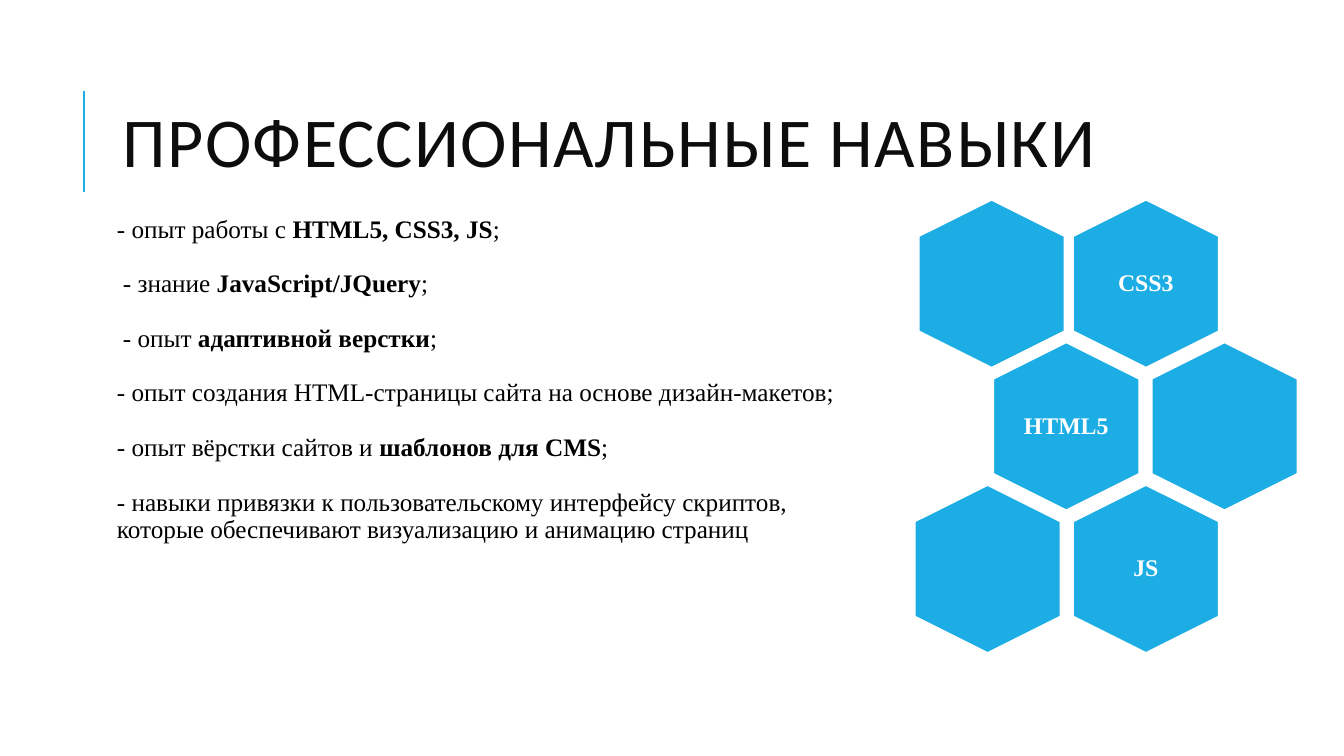
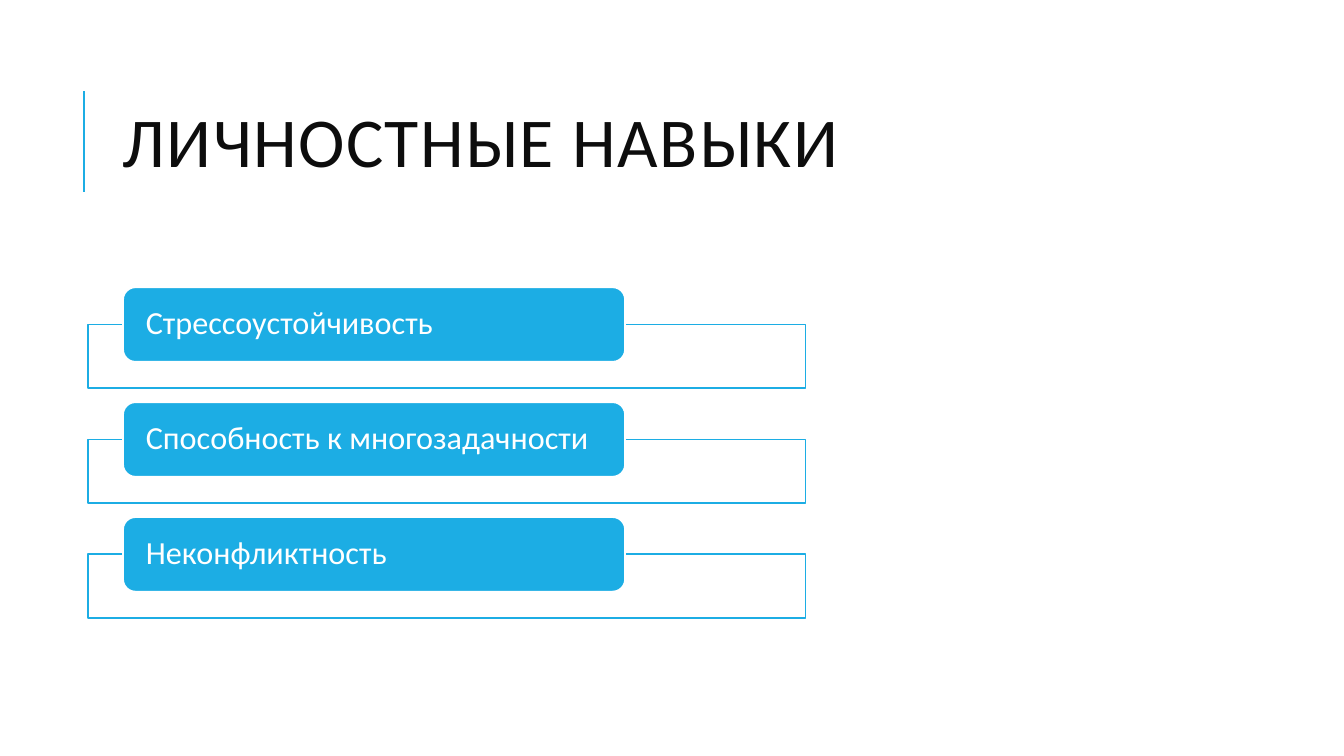
from pptx import Presentation
from pptx.dml.color import RGBColor
from pptx.enum.shapes import MSO_CONNECTOR, MSO_SHAPE
from pptx.enum.text import MSO_ANCHOR, PP_ALIGN
from pptx.oxml.ns import qn
from pptx.util import Inches, Pt

STRAIGHT = MSO_CONNECTOR.STRAIGHT
HEXAGON, RECTANGLE, ROUNDED = MSO_SHAPE.HEXAGON, MSO_SHAPE.RECTANGLE, MSO_SHAPE.ROUNDED_RECTANGLE
TOP, MIDDLE = MSO_ANCHOR.TOP, MSO_ANCHOR.MIDDLE
LEFT, CENTER = PP_ALIGN.LEFT, PP_ALIGN.CENTER

BLUE, WHITE, BLACK, TITLE_INK = "1CADE4", "FFFFFF", "000000", "0D0D0D"
SANS, SERIF = "Calibri", "Times New Roman"

SKILLS_TITLE = "ПРОФЕССИОНАЛЬНЫЕ НАВЫКИ"
# Left indent in inches, then (text, bold) runs
SKILLS = [
    (0.1, [("- опыт работы с ", False), ("HTML5, CSS3, JS", True), (";", False)]),
    (0.16, [("- знание ", False), ("JavaScript/JQuery", True), (";", False)]),
    (0.16, [("- опыт ", False), ("адаптивной верстки", True), (";", False)]),
    (0.1, [("- опыт создания HTML-страницы сайта на основе дизайн-макетов;", False)]),
    (0.1, [("- опыт вёрстки сайтов и ", False), ("шаблонов для CMS", True), (";", False)]),
    (0.1, [("- навыки привязки к пользовательскому интерфейсу скриптов, "
            "которые обеспечивают визуализацию и анимацию страниц", False)]),
]
# Rows from top to bottom: left edge in inches and label of each cell
HONEYCOMB = [
    [(9, ""), (10.53, "CSS3")],
    [(9.74, "HTML5"), (11.31, "")],
    [(8.96, ""), (10.53, "JS")],
]
TRAITS_TITLE = "ЛИЧНОСТНЫЕ НАВЫКИ"
TRAITS = ["Стрессоустойчивость", "Способность к многозадачности", "Неконфликтность"]

TITLE_FONT = {"name": SANS, "size": Pt(50)}
SKILL_FONT = {"name": SERIF, "size": Pt(18)}
CELL_FONT = {"name": SERIF, "size": Pt(17), "bold": True}
TRAIT_FONT = {"name": SANS, "size": Pt(23)}

CELL_WIDTH, CELL_HEIGHT, CELL_TOP, CELL_PITCH = 1.67, 1.45, 2.09, 1.415
LABEL_WIDTH, LABEL_HEIGHT = 1, 1.15
TRAIT_TOP, TRAIT_PITCH, FRAME_DROP = 2.85, 1.14, 0.37


def color(value):
    return RGBColor.from_string(value)


def prepare_frame(frame, anchor, side, vertical):
    frame.word_wrap = True
    frame.vertical_anchor = anchor
    frame.margin_left = frame.margin_right = Inches(side)
    frame.margin_top = frame.margin_bottom = Inches(vertical)


def write(paragraph, runs, font, ink, spacing=0.9, align=LEFT):
    paragraph.line_spacing = spacing
    paragraph.alignment = align
    for text, extra in runs:
        run = paragraph.add_run()
        run.text = text
        run.font.color.rgb = color(ink)
        for key, value in {**font, **extra}.items():
            setattr(run.font, key, value)


def add_text_frame(slide, left, top, width, height, anchor, side, vertical):
    box = slide.shapes.add_textbox(*map(Inches, (left, top, width, height)))
    prepare_frame(box.text_frame, anchor, side, vertical)
    return box.text_frame


def add_block(slide, kind, left, top, width, height, fill, line, weight):
    block = slide.shapes.add_shape(kind, *map(Inches, (left, top, width, height)))
    block.shadow.inherit = False
    block.fill.solid()
    block.fill.fore_color.rgb = color(fill)
    block.line.color.rgb = color(line)
    block.line.width = Pt(weight)
    return block


def add_titled_slide(deck, title):
    slide = deck.slides.add_slide(deck.slide_layouts[6])
    rule = slide.shapes.add_connector(
        STRAIGHT, Inches(0.83), Inches(1.9), Inches(0.83), Inches(0.9))
    rule.line.color.rgb = color(BLUE)
    rule.line.width = Pt(1.5)
    properties = rule._element.spPr
    properties.append(properties.makeelement(qn("a:effectLst"), {}))
    frame = add_text_frame(slide, 1.12, 0.64, 10.63, 1.64, MIDDLE, 0.1, 0.05)
    heading = frame.paragraphs[0]
    write(heading, [(title, {})], TITLE_FONT, TITLE_INK, spacing=0.8)
    heading.runs[0].font._element.set("spc", "100")
    return slide


def add_skill_list(slide):
    frame = add_text_frame(slide, 1.01, 2.1, 7.5, 4.76, TOP, 0.05, 0.05)
    for index, (indent, runs) in enumerate(SKILLS):
        paragraph = frame.add_paragraph() if index else frame.paragraphs[0]
        paragraph._p.get_or_add_pPr().set("marL", str(Inches(indent)))
        paragraph.space_before = Pt(12 if index else 0)
        paragraph.space_after = Pt(7.5)
        write(paragraph, [(text, {"bold": bold}) for text, bold in runs], SKILL_FONT, BLACK)


def add_honeycomb(slide):
    for row, cells in enumerate(HONEYCOMB):
        top = CELL_TOP + row * CELL_PITCH
        for left, label in cells:
            cell = add_block(slide, HEXAGON, left, top, CELL_WIDTH, CELL_HEIGHT, BLUE, WHITE, 1.5)
            cell.adjustments[0] = 0.25
            cell.rotation = 90
            if label:
                frame = add_text_frame(
                    slide, left + (CELL_WIDTH - LABEL_WIDTH) / 2,
                    top + (CELL_HEIGHT - LABEL_HEIGHT) / 2,
                    LABEL_WIDTH, LABEL_HEIGHT, MIDDLE, 0.07, 0.07)
                write(frame.paragraphs[0], [(label, {})], CELL_FONT, WHITE, align=CENTER)


def add_trait_list(slide):
    for index, trait in enumerate(TRAITS):
        top = TRAIT_TOP + index * TRAIT_PITCH
        add_block(slide, RECTANGLE, 0.87, top + FRAME_DROP, 7.12, 0.63, WHITE, BLUE, 1.25)
        tab = add_block(slide, ROUNDED, 1.22, top, 4.98, 0.74, BLUE, WHITE, 1.25)
        # The rounded corners already inset the text by about 0.04 inch
        prepare_frame(tab.text_frame, MIDDLE, 0.19, 0)
        write(tab.text_frame.paragraphs[0], [(trait, {})], TRAIT_FONT, WHITE)


def main():
    deck = Presentation()
    deck.slide_width, deck.slide_height = Inches(13.33), Inches(7.5)
    skills_slide = add_titled_slide(deck, SKILLS_TITLE)
    add_skill_list(skills_slide)
    add_honeycomb(skills_slide)
    add_trait_list(add_titled_slide(deck, TRAITS_TITLE))
    deck.save("out.pptx")


if __name__ == "__main__":
    main()
